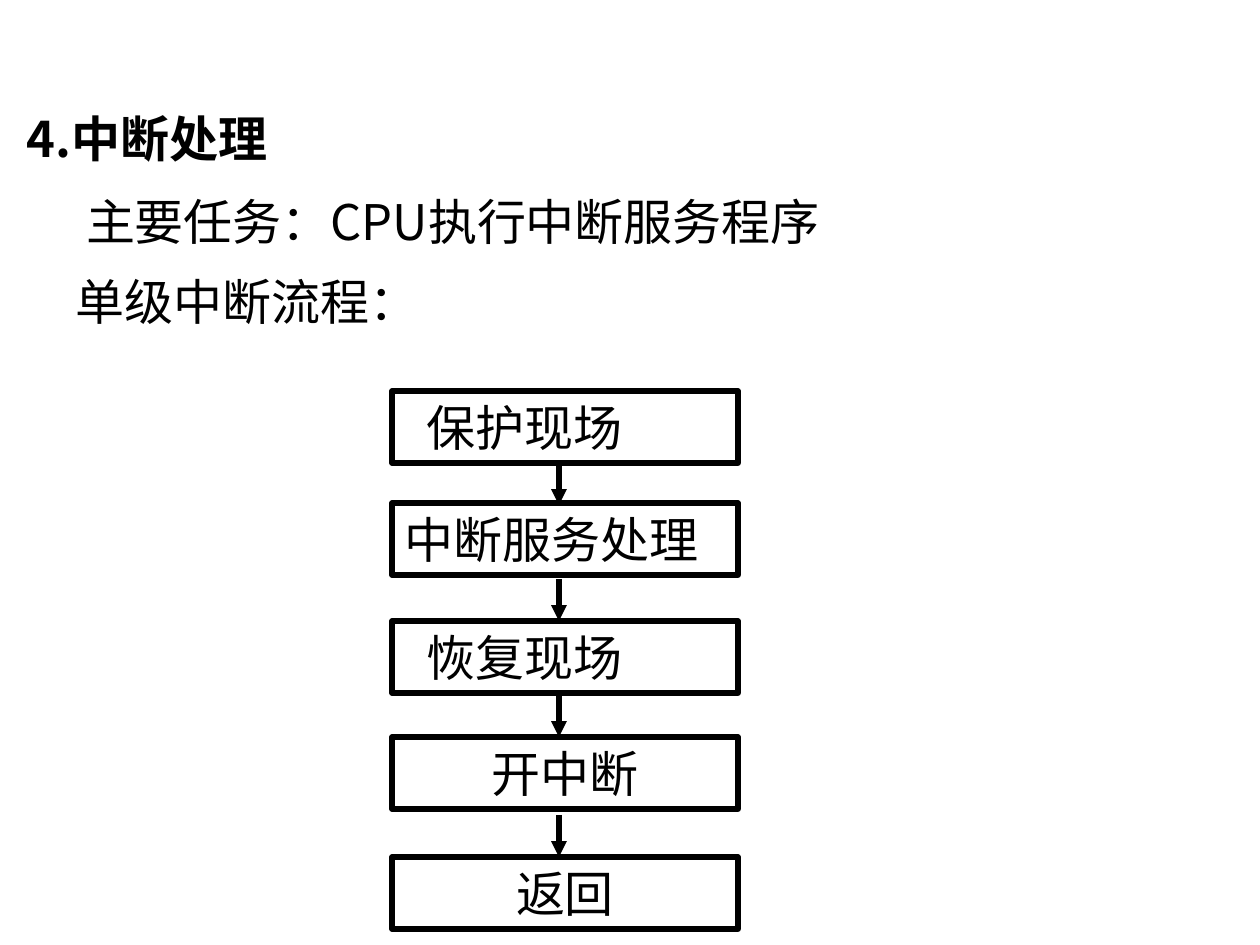
from dataclasses import dataclass

from lxml.etree import SubElement
from pptx import Presentation
from pptx.dml.color import RGBColor
from pptx.enum.shapes import MSO_CONNECTOR as Connector, MSO_SHAPE as Shape
from pptx.enum.text import MSO_ANCHOR as Anchor, MSO_AUTO_SIZE as AutoSize, PP_ALIGN as Align
from pptx.oxml.ns import qn
from pptx.util import Emu, Pt


@dataclass(frozen=True)
class Theme:
    font: str = "Noto Sans CJK SC"
    ink: RGBColor = RGBColor(0, 0, 0)
    text_size: Pt = Pt(28)
    line_gap: Pt = Pt(12)
    stroke: Pt = Pt(3)


THEME = Theme()
STEP_LEFT, STEP_WIDTH, STEP_HEIGHT = 392, 346, 72
ARROW_X, ARROW_LENGTH = 559, 42
STEPS = [
    ("保护现场", 391, None, Align.LEFT, 22),
    ("中断服务处理", 503, 505, Align.LEFT, 0),
    ("恢复现场", 621, 621, Align.LEFT, 22),
    ("开中断", 737, 737, Align.CENTER, 0),
    ("返回", 857, 857, Align.CENTER, 0),
]


def px(length):
    return Emu(round(length * 914400 / 126))


def place(shape, left, top, width, height):
    shape.left, shape.top = px(left), px(top)
    shape.width, shape.height = px(width), px(height)


def set_up_frame(frame):
    frame.word_wrap = True
    frame.auto_size = AutoSize.NONE
    frame.vertical_anchor = Anchor.MIDDLE
    frame.margin_left = frame.margin_right = px(13)
    frame.margin_top = frame.margin_bottom = 0


def write_line(paragraph, wording, align=Align.LEFT, indent=0, bold=False, gap=Pt(0)):
    paragraph.text = wording
    paragraph.alignment = align
    paragraph.space_before = gap
    properties = paragraph._p.get_or_add_pPr()
    properties.set("marL", str(px(indent)))
    properties.set("indent", "0")
    SubElement(properties, qn("a:buNone"))
    font = paragraph.font
    font.name, font.size, font.bold = THEME.font, THEME.text_size, bold
    font.color.rgb = THEME.ink
    east_asian = SubElement(properties.find(qn("a:defRPr")), qn("a:ea"))
    east_asian.set("typeface", THEME.font)


def add_heading(slide):
    heading = slide.shapes.title
    place(heading, 14, 102, 485, 72)
    set_up_frame(heading.text_frame)
    write_line(heading.text_frame.paragraphs[0], "4.中断处理", bold=True)


def add_summary(slide):
    summary = slide.placeholders[1]
    place(summary, 63, 192, 912, 164)
    frame = summary.text_frame
    set_up_frame(frame)
    frame.vertical_anchor = Anchor.TOP
    write_line(frame.paragraphs[0], "主要任务：CPU执行中断服务程序", indent=10)
    write_line(frame.add_paragraph(), "单级中断流程：", gap=THEME.line_gap)


def add_step(slide, wording, top, align, indent):
    step = slide.shapes.add_shape(Shape.RECTANGLE, 0, 0, 0, 0)
    place(step, STEP_LEFT, top, STEP_WIDTH, STEP_HEIGHT)
    step.shadow.inherit = False
    step.fill.background()
    step.line.color.rgb = THEME.ink
    step.line.width = THEME.stroke
    set_up_frame(step.text_frame)
    write_line(step.text_frame.paragraphs[0], wording, align, indent)


def add_arrow(slide, tip):
    arrow = slide.shapes.add_connector(
        Connector.STRAIGHT, px(ARROW_X), px(tip - ARROW_LENGTH), px(ARROW_X), px(tip)
    )
    arrow.line.color.rgb = THEME.ink
    arrow.line.width = THEME.stroke
    SubElement(arrow.line._get_or_add_ln(), qn("a:tailEnd")).set("type", "triangle")
    SubElement(arrow._element.spPr, qn("a:effectLst"))


def main():
    deck = Presentation()
    deck.slide_width, deck.slide_height = px(1260), px(945)
    slide = deck.slides.add_slide(deck.slide_layouts[1])
    add_heading(slide)
    add_summary(slide)
    for wording, top, arrow_tip, align, indent in STEPS:
        add_step(slide, wording, top, align, indent)
        if arrow_tip:
            add_arrow(slide, arrow_tip)
    deck.save("out.pptx")


if __name__ == "__main__":
    main()
